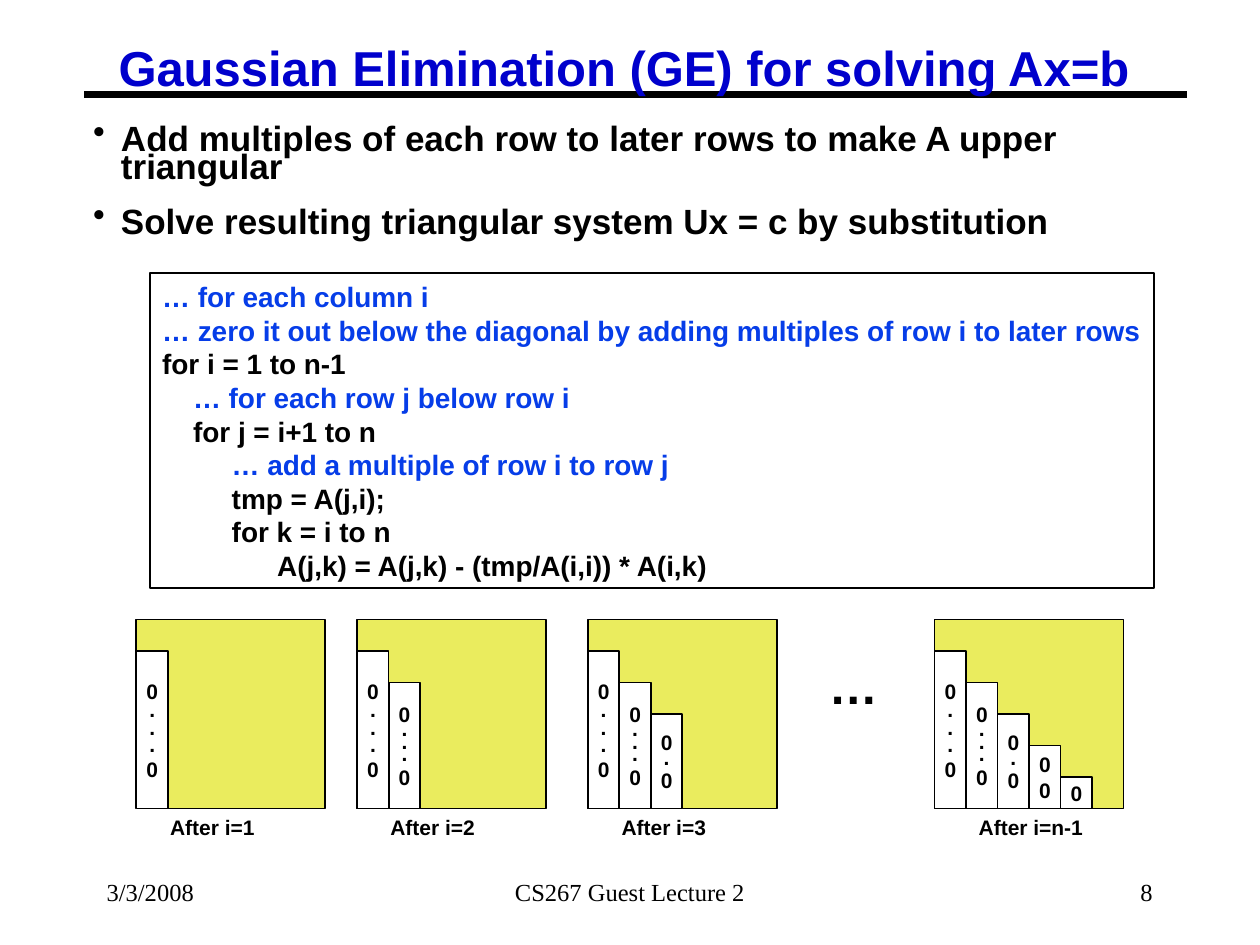
from dataclasses import dataclass

from lxml import etree
from pptx import Presentation
from pptx import util as u
from pptx.dml.color import RGBColor
from pptx.enum import shapes, text
from pptx.oxml.ns import qn


@dataclass(frozen=True)
class Theme:
    black: str = "000000"
    white: str = "FFFFFF"
    title: str = "0000CC"
    comment: str = "063DE8"
    matrix: str = "EAEC5E"
    sans: str = "Arial"
    serif: str = "Times New Roman"
    title_pt: int = 28
    body_pt: int = 20
    code_pt: int = 16
    footer_pt: int = 14
    small_pt: int = 12


@dataclass(frozen=True)
class Matrix:
    left: float
    zero_columns: int
    caption: str
    caption_left: float
    caption_width: float


@dataclass(frozen=True)
class ZeroColumn:
    marks: str
    dot_spacing: float = 1.0


@dataclass(frozen=True)
class Footer:
    label: str
    left: float
    width: float
    align: text.PP_ALIGN


THEME = Theme()
LEFT, CENTER, RIGHT = text.PP_ALIGN.LEFT, text.PP_ALIGN.CENTER, text.PP_ALIGN.RIGHT

BULLETS = [
    "Add multiples of each row to later rows to make A upper triangular",
    "Solve resulting triangular system Ux = c by substitution",
]
CODE = [
    "… for each column i",
    "… zero it out below the diagonal by adding multiples of row i to later rows",
    "for i = 1 to n-1",
    "    … for each row j below row i",
    "    for j = i+1 to n",
    "         … add a multiple of row i to row j",
    "         tmp = A(j,i);",
    "         for k = i to n",
    "               A(j,k) = A(j,k) - (tmp/A(i,i)) * A(i,k)",
]
MATRICES = [
    Matrix(2.75, 1, "After i=1", 3.18, 2.21),
    Matrix(7.2, 2, "After i=2", 7.62, 2.21),
    Matrix(11.85, 3, "After i=3", 12.28, 2.21),
    Matrix(18.84, 5, "After i=n-1", 19.48, 2.62),
]
ZERO_COLUMNS = [
    ZeroColumn("0...0", 0.7),
    ZeroColumn("0...0", 0.5),
    ZeroColumn("0.0", 0.5),
    ZeroColumn("00"),
    ZeroColumn("0"),
]
FOOTERS = [
    Footer("3/3/2008", 1.9, 5.29, LEFT),
    Footer("CS267 Guest Lecture 2", 8.68, 8.04, CENTER),
    Footer("8", 18.2, 5.29, RIGHT),
]
MATRIX_TOP, MATRIX_SIDE = 12.49, 3.81
CELL = MATRIX_SIDE / 6


def rgb(color: str) -> RGBColor:
    return RGBColor.from_string(color)


def set_frame(tf, wrap=False, grow=False, middle=False, inset_x=0.25, inset_y=0.13) -> None:
    tf.word_wrap = wrap
    tf.auto_size = text.MSO_AUTO_SIZE.SHAPE_TO_FIT_TEXT if grow else text.MSO_AUTO_SIZE.NONE
    tf.vertical_anchor = text.MSO_ANCHOR.MIDDLE if middle else text.MSO_ANCHOR.TOP
    tf.margin_left = tf.margin_right = u.Cm(inset_x)
    tf.margin_top = tf.margin_bottom = u.Cm(inset_y)


def write(tf, line: str, *, size: int, color: str = THEME.black, font: str = THEME.sans,
          bold: bool = True, align=LEFT, spacing: float = 1.0, before: float = 0,
          bullet: bool = False) -> None:
    """Write one paragraph, starting with the empty one a frame already has."""
    first = not tf.paragraphs[0].runs
    p = tf.paragraphs[0] if first else tf.add_paragraph()
    p.alignment, p.line_spacing = align, spacing
    if before and not first:
        p.space_before = u.Pt(before)
    if bullet:
        pPr = p._p.get_or_add_pPr()
        pPr.set("marL", str(u.Cm(0.56)))
        pPr.set("indent", str(-u.Cm(0.56)))
        etree.SubElement(pPr, qn("a:buChar")).set("char", "•")
    r = p.add_run()
    r.text = line
    r.font.name, r.font.size, r.font.bold = font, u.Pt(size), bold
    r.font.color.rgb = rgb(color)


def add_box(s, left: float, top: float, width: float, height: float, **frame):
    sp = s.shapes.add_textbox(u.Cm(left), u.Cm(top), u.Cm(width), u.Cm(height))
    set_frame(sp.text_frame, **frame)
    return sp.text_frame


def add_rect(s, left: float, top: float, width: float, height: float, fill=None, **frame):
    sp = s.shapes.add_shape(shapes.MSO_SHAPE.RECTANGLE, u.Cm(left), u.Cm(top),
                            u.Cm(width), u.Cm(height))
    sp.shadow.inherit = False
    if fill:
        sp.fill.solid()
        sp.fill.fore_color.rgb = rgb(fill)
    else:
        sp.fill.background()
    sp.line.color.rgb = rgb(THEME.black)
    sp.line.width = u.Pt(1)
    set_frame(sp.text_frame, **frame)
    return sp.text_frame


def add_rule(s, left: float, right: float, y: float) -> None:
    line = s.shapes.add_connector(shapes.MSO_CONNECTOR.STRAIGHT, u.Cm(left), u.Cm(y),
                                  u.Cm(right), u.Cm(y))
    line.line.color.rgb = rgb(THEME.black)
    line.line.width = u.Pt(3.75)
    etree.SubElement(line._element.spPr, qn("a:effectLst"))


def add_matrix(s, m: Matrix) -> None:
    add_rect(s, m.left, MATRIX_TOP, MATRIX_SIDE, MATRIX_SIDE, THEME.matrix)
    for i, column in enumerate(ZERO_COLUMNS[:m.zero_columns]):
        drop = (i + 1) * CELL
        tf = add_rect(s, m.left + i * CELL, MATRIX_TOP + drop, CELL, MATRIX_SIDE - drop,
                      THEME.white, middle=True)
        for mark in column.marks:
            write(tf, mark, size=THEME.small_pt, align=CENTER,
                  spacing=column.dot_spacing if mark == "." else 1.0)
    tf = add_box(s, m.caption_left, MATRIX_TOP + MATRIX_SIDE, m.caption_width, 0.76, grow=True)
    write(tf, m.caption, size=THEME.small_pt)


def main() -> None:
    prs = Presentation()
    prs.slide_width, prs.slide_height = u.Cm(25.4), u.Cm(19.05)
    s = prs.slides.add_slide(prs.slide_layouts[6])

    # Title over its rule
    add_rule(s, 1.7, 23.93, 1.91)
    tf = add_box(s, 2.21, 0.84, 20.8, 1.17, wrap=True, grow=True, inset_x=0.18, inset_y=0.08)
    write(tf, "Gaussian Elimination (GE) for solving Ax=b", size=THEME.title_pt,
          color=THEME.title, spacing=0.87)

    # Bullets
    tf = add_box(s, 1.7, 2.54, 22.23, 2.62, wrap=True, inset_x=0.18, inset_y=0.08)
    for bullet in BULLETS:
        write(tf, bullet, size=THEME.body_pt, spacing=0.65, before=16.2, bullet=True)

    # Algorithm, with its comments in blue
    tf = add_rect(s, 3.02, 5.51, 20.24, 6.35, grow=True)
    for line in CODE:
        is_comment = line.lstrip().startswith("…")
        write(tf, line, size=THEME.code_pt, color=THEME.comment if is_comment else THEME.black)

    # Matrix after each step
    for m in MATRICES:
        add_matrix(s, m)
    tf = add_box(s, 16.46, 13.08, 1.5, 1.45, grow=True)
    write(tf, "…", size=THEME.title_pt)

    # Footer
    for f in FOOTERS:
        tf = add_box(s, f.left, 17.35, f.width, 1.27, wrap=True, middle=True)
        write(tf, f.label, size=THEME.footer_pt, font=THEME.serif, bold=False, align=f.align)

    prs.save("out.pptx")


if __name__ == "__main__":
    main()
